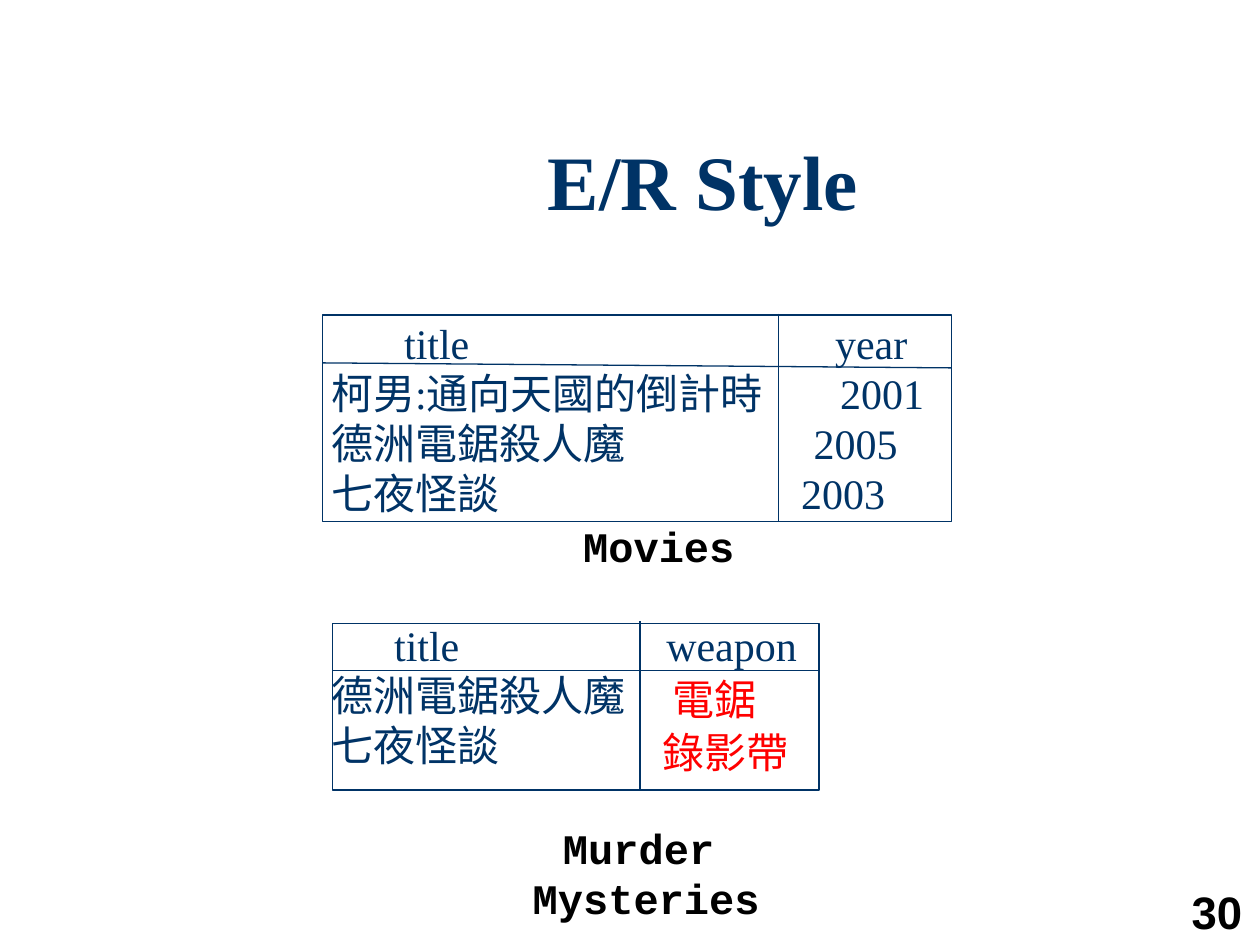
from lxml import etree
from pptx import Presentation
from pptx import util as u
from pptx.dml.color import RGBColor
from pptx.enum import shapes, text
from pptx.oxml import ns

COLUMNS, ROWS = 100, 75
NAVY, RED, BLACK, WHITE = "003366", "FF0000", "000000", "FFFFFF"
SERIF, SANS, MONO, CHINESE = "Times New Roman", "Arial", "Courier New", "Noto Sans CJK SC"


def color(value):
    return RGBColor.from_string(value)


def write(paragraph, content, size=24, face=SERIF, fill=NAVY, bold=False,
          tabs=(), align=None, before=0, spacing=u.Pt(28.6)):
    if align is not None:
        paragraph.alignment = align
    paragraph.line_spacing = spacing
    paragraph.space_before = u.Pt(before)
    if tabs:
        tab_list = etree.SubElement(paragraph._p.get_or_add_pPr(), ns.qn("a:tabLst"))
        for stop in tabs:
            etree.SubElement(tab_list, ns.qn("a:tab"), pos=str(u.Inches(stop)), algn="l")
    run = paragraph.add_run()
    run.text = content
    font = run.font
    font.size, font.name, font.bold = u.Pt(size), face, bold
    font.color.rgb = color(fill)
    etree.SubElement(run._r.get_or_add_rPr(), ns.qn("a:ea"), typeface=CHINESE)


class Deck:
    def __init__(self):
        self.presentation = Presentation()
        self.presentation.slide_width = u.Inches(10)
        self.presentation.slide_height = u.Inches(7.5)
        self.slide = self.presentation.slides.add_slide(self.presentation.slide_layouts[5])

    def place(self, *lengths):
        units = (self.presentation.slide_width / COLUMNS,
                 self.presentation.slide_height / ROWS)
        return [round(length * units[index % 2]) for index, length in enumerate(lengths)]

    def title(self, content, *box):
        shape = self.slide.shapes.title
        shape.left, shape.top, shape.width, shape.height = self.place(*box)
        shape.text_frame.vertical_anchor = text.MSO_ANCHOR.MIDDLE
        write(shape.text_frame.paragraphs[0], content, size=44, bold=True,
              align=text.PP_ALIGN.CENTER, spacing=0.9)

    def frame(self, *box):
        shape = self.slide.shapes.add_shape(shapes.MSO_SHAPE.RECTANGLE, *self.place(*box))
        shape.shadow.inherit = False
        shape.fill.solid()
        shape.fill.fore_color.rgb = color(WHITE)
        shape.line.color.rgb = color(NAVY)
        shape.line.width = u.Pt(0.75)

    def rule(self, *ends):
        line = self.slide.shapes.add_connector(shapes.MSO_CONNECTOR.STRAIGHT, *self.place(*ends))
        line.line.color.rgb = color(NAVY)
        line.line.width = u.Pt(0.75)
        etree.SubElement(line._element.spPr, ns.qn("a:effectLst"))

    def textbox(self, lines, *box, anchor=text.MSO_ANCHOR.TOP):
        text_frame = self.slide.shapes.add_textbox(*self.place(*box)).text_frame
        text_frame.word_wrap = True
        text_frame.vertical_anchor = anchor
        for index, (content, style) in enumerate(lines):
            paragraph = text_frame.add_paragraph() if index else text_frame.paragraphs[0]
            write(paragraph, content, **style)


def main():
    deck = Deck()
    caption = dict(face=MONO, fill=BLACK, bold=True)

    deck.title("E/R Style", 15.8, 10.1, 80, 9.2)
    deck.frame(25.6, 25, 49.9, 16.4)
    deck.frame(26.4, 49.5, 38.6, 13.2)
    deck.textbox([
        ("\ttitle\tyear", dict(tabs=(0.58, 4))),
        ("柯男:通向天國的倒計時\t2001", dict(tabs=(4.04,))),
        ("德洲電鋸殺人魔\t2005", dict(tabs=(3.83,))),
        ("七夜怪談\t2003", dict(tabs=(3.73,))),
        ("\tMovies", dict(caption, tabs=(2,), before=2)),
        ("\ttitle\tweapon", dict(tabs=(0.5, 2.66), before=28)),
        ("德洲電鋸殺人魔", {}),
        ("七夜怪談", {}),
        ("\tMurder", dict(caption, tabs=(1.84,), before=30)),
        ("\tMysteries", dict(caption, tabs=(1.6,))),
    ], 25.3, 24.7, 66.4, 50)

    deck.rule(25.6, 28.8, 75.5, 29.2)
    deck.rule(61.8, 24.9, 61.8, 41.4)
    deck.rule(26.4, 53.2, 65, 53.2)
    deck.rule(50.8, 49.3, 50.8, 62.7)

    deck.textbox([("電鋸", dict(fill=RED))], 52.4, 53, 10, 5)
    deck.textbox([("錄影帶", dict(fill=RED))], 51.6, 57.2, 13, 5)
    deck.textbox([("30", dict(size=26, face=SANS, fill=BLACK, bold=True, spacing=1.0))],
                 93.6, 69.6, 6.4, 5.4, anchor=text.MSO_ANCHOR.BOTTOM)
    deck.presentation.save("out.pptx")


if __name__ == "__main__":
    main()
